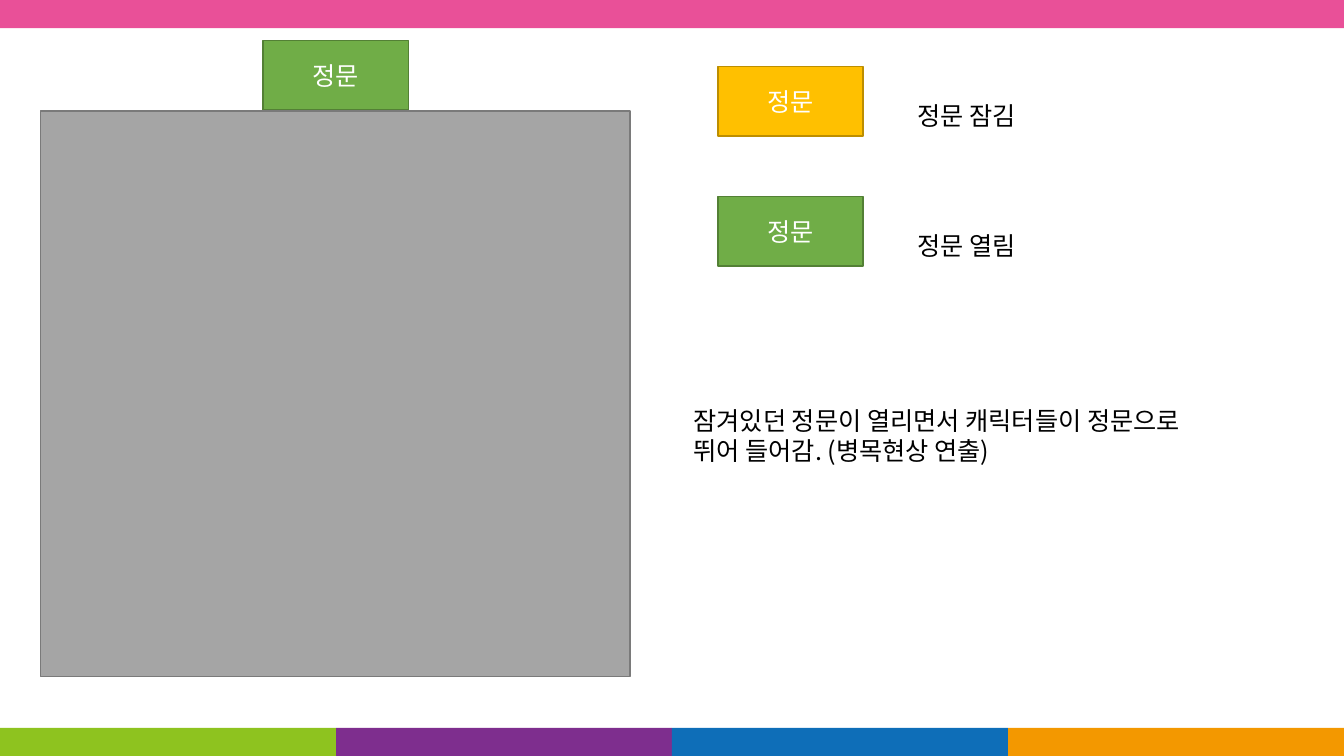
from lxml.etree import SubElement
from pptx import Presentation
from pptx.dml.color import RGBColor
from pptx.enum.shapes import MSO_SHAPE as Preset
from pptx.enum.text import MSO_ANCHOR as Anchor, PP_ALIGN as Align
from pptx.oxml.ns import qn
from pptx.util import Inches, Pt

WIDTH, HEIGHT = 13.33, 7.5
BAND_HEIGHT = 0.28
GATE_SIZE = (1.44, 0.69)
LEGEND_TOP, LEGEND_STEP = 0.66, 1.29
FONT = "Noto Sans CJK KR"

WHITE = RGBColor(0xFF, 0xFF, 0xFF)
BLACK = RGBColor(0x00, 0x00, 0x00)
PINK = RGBColor(0xE9, 0x50, 0x98)
LIME = RGBColor(0x8E, 0xC3, 0x1F)
PURPLE = RGBColor(0x7E, 0x2E, 0x8E)
BLUE = RGBColor(0x0E, 0x6E, 0xB8)
ORANGE = RGBColor(0xF3, 0x98, 0x00)
GREEN = RGBColor(0x70, 0xAD, 0x47)
DARK_GREEN = RGBColor(0x53, 0x80, 0x35)
AMBER = RGBColor(0xFF, 0xC0, 0x00)
DARK_AMBER = RGBColor(0xBD, 0x8E, 0x00)
GRAY = RGBColor(0xA5, 0xA5, 0xA5)
DARK_GRAY = RGBColor(0x7A, 0x7A, 0x7A)

OPEN_GATE = (GREEN, DARK_GREEN)
LOCKED_GATE = (AMBER, DARK_AMBER)


def write_text(box, *lines, color=BLACK, size=18, align=Align.LEFT, anchor=Anchor.TOP):
    """Write one paragraph per line into a box with the given format."""
    frame = box.text_frame
    frame.word_wrap = True
    frame.vertical_anchor = anchor
    for index, line in enumerate(lines):
        para = frame.add_paragraph() if index else frame.paragraphs[0]
        para.alignment = align
        span = para.add_run()
        span.text = line
        span.font.name = FONT
        span.font.size = Pt(size)
        span.font.color.rgb = color
        SubElement(span.font._element, qn("a:ea"), typeface=FONT)


def add_block(page, left, top, width, height, fill, edge=None):
    """Add a flat rectangle, outlined when an edge colour is given."""
    block = page.shapes.add_shape(
        Preset.RECTANGLE, Inches(left), Inches(top), Inches(width), Inches(height)
    )
    block.shadow.inherit = False
    block.fill.solid()
    block.fill.fore_color.rgb = fill
    if edge is None:
        block.line.fill.background()
    else:
        block.line.color.rgb = edge
        block.line.width = Pt(1)
    return block


def add_gate(page, left, top, colors):
    """Add a labelled gate in its state colours."""
    gate = add_block(page, left, top, *GATE_SIZE, *colors)
    write_text(gate, "정문", color=WHITE, align=Align.CENTER, anchor=Anchor.MIDDLE)


def add_label(page, left, top, width, height, *lines):
    """Add a plain text box."""
    label = page.shapes.add_textbox(
        Inches(left), Inches(top), Inches(width), Inches(height)
    )
    write_text(label, *lines)


def add_bands(page):
    """Add the top band and the four equal bands at the bottom."""
    add_block(page, 0, 0, WIDTH, BAND_HEIGHT, PINK)
    bottom_colors = (LIME, PURPLE, BLUE, ORANGE)
    step = WIDTH / len(bottom_colors)
    for column, color in enumerate(bottom_colors):
        add_block(page, column * step, HEIGHT - BAND_HEIGHT, step, BAND_HEIGHT, color)


def add_legend(page):
    """Add one row per gate state: the gate and its meaning."""
    states = ((LOCKED_GATE, "정문 잠김"), (OPEN_GATE, "정문 열림"))
    for row, (colors, meaning) in enumerate(states):
        top = LEGEND_TOP + row * LEGEND_STEP
        add_gate(page, 7.12, top, colors)
        add_label(page, 9, top + 0.29, 1.3, 0.4, meaning)


def main():
    """Build the gate slide and save it."""
    deck = Presentation()
    deck.slide_width, deck.slide_height = Inches(WIDTH), Inches(HEIGHT)
    page = deck.slides.add_slide(deck.slide_layouts.get_by_name("Blank"))
    add_bands(page)
    add_gate(page, 2.61, 0.4, OPEN_GATE)
    add_block(page, 0.4, 1.1, 5.85, 5.61, GRAY, DARK_GRAY)
    add_label(
        page, 6.78, 3.97, 5.7, 0.71,
        "잠겨있던 정문이 열리면서 캐릭터들이 정문으로",
        "뛰어 들어감. (병목현상 연출)",
    )
    add_legend(page)
    deck.save("out.pptx")


if __name__ == "__main__":
    main()
